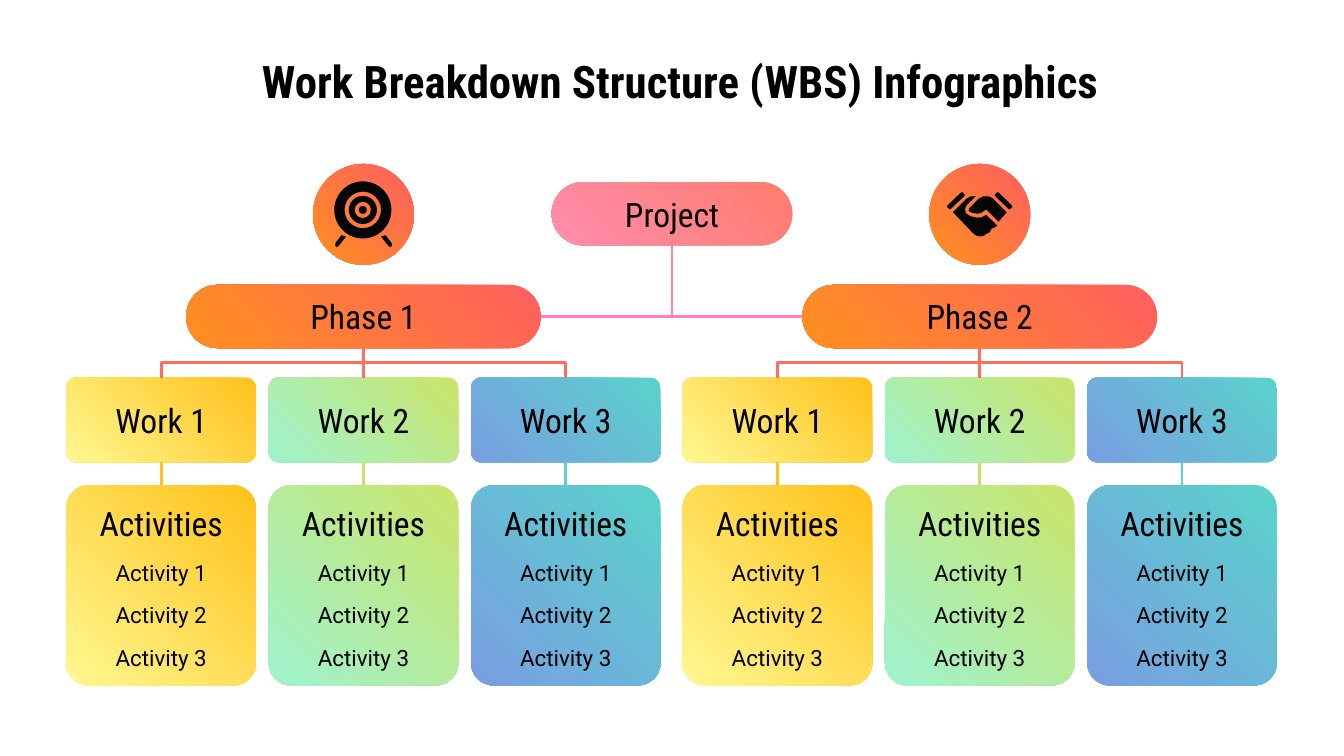
from pptx import Presentation
from pptx.dml.color import RGBColor
from pptx.enum.shapes import MSO_CONNECTOR, MSO_SHAPE
from pptx.enum.text import MSO_ANCHOR, MSO_AUTO_SIZE, PP_ALIGN
from pptx.oxml.ns import qn
from pptx.oxml.xmlchemy import OxmlElement
from pptx.util import Inches, Pt

ROUNDED, ELLIPSE, DONUT = MSO_SHAPE.ROUNDED_RECTANGLE, MSO_SHAPE.OVAL, MSO_SHAPE.DONUT
STRAIGHT, ELBOW = MSO_CONNECTOR.STRAIGHT, MSO_CONNECTOR.ELBOW
TOP, MIDDLE, CENTER = MSO_ANCHOR.TOP, MSO_ANCHOR.MIDDLE, PP_ALIGN.CENTER
NO_AUTOFIT = MSO_AUTO_SIZE.NONE

# All lengths are grid cells: the slide is 100 columns wide, and cells are square.
COLUMNS, ROWS = 100, 56.25
CELL = Inches(10) / COLUMNS

PHASE_CENTERS = (27.05, 72.9)
PHASE_TOP, PHASE_WIDTH, BAR_HEIGHT = 21.2, 26.4, 4.7
BADGE_TOP, BADGE_SIZE = 12.2, 7.5
PROJECT_CENTER, PROJECT_TOP, PROJECT_WIDTH = 50, 13.55, 17.9
WORK_TOP, WORK_HEIGHT, WORK_WIDTH, WORK_PITCH = 28.1, 6.3, 14.1, 15.05
CARD_TOP, CARD_HEIGHT = 36.1, 14.9
HEADING_TOP, HEADING_HEIGHT = 36.8, 4.2
ACTIVITY_TOP, ACTIVITY_HEIGHT, ACTIVITY_PITCH = 41, 3.2, 3.15

PHASE_GRADIENT = ("FF5F5F", "FF9020")
PROJECT_GRADIENT = ("FF7C6D", "FF8DAD")
PROJECT_LINE, PHASE_LINE = "FF80B9", "FF6D5D"
# Each kind of work: gradient, and colour of the line to its activities
WORKS = (
    (("FFC119", "FFF892"), "FFC119"),
    (("CBE469", "9FF3CF"), "C2E469"),
    (("5AD3CB", "799EE2"), "5AD3CB"),
)

# Icon outlines, as offsets from the centre line and the top of the badge
TARGET_LEG = [(-1.65, 5.3), (-2.1, 5.9), (-2.1, 6.1), (-2, 6.2), (-1.85, 6.1),
              (-1.3, 5.4)]
GRIP = [(-1.3, 2.1), (-1.42, 2.15), (-2.4, 3.1), (-2.43, 3.22), (-2.2, 3.4),
        (-1.2, 2.45), (-1.1, 2.3)]
LOWER_HAND = [(-0.4, 2.4), (-0.7, 2.43), (-1, 2.6), (-2, 3.6), (-0.5, 5.15),
              (-0.3, 5.32), (0, 5.4), (0.3, 5.35), (0.5, 5.2), (0.75, 5.1),
              (0.9, 4.8), (1.1, 4.75), (1.3, 4.6), (0.5, 3.8), (0.15, 3.97),
              (-0.2, 4), (-0.65, 3.9), (-1, 3.7), (-1.1, 3.4), (-1, 3.1),
              (-0.3, 2.4)]
UPPER_HAND = [(0.5, 2.4), (0.2, 2.43), (-0.1, 2.6), (-0.8, 3.3), (-0.83, 3.5),
              (-0.55, 3.65), (-0.2, 3.7), (0.1, 3.65), (0.3, 3.5), (0.5, 3.4),
              (1.4, 4.3), (2, 3.6), (1, 2.6), (0.75, 2.43)]


def rgb(hex_colour):
    return RGBColor.from_string(hex_colour)


def cells(*lengths):
    return [round(length * CELL) for length in lengths]


def mirrored(outline):
    return [(-x, y) for x, y in outline]


class WbsSlide:
    heading_font, body_font = "Roboto Condensed", "Roboto"
    ink, icon_ink = "000000", "040606"
    inset, line_width = Inches(0.1), Pt(1.5)

    def __init__(self, slide):
        self.slide = slide
        self.shapes = slide.shapes

    def set_text(self, frame, text, size, font, bold=False, anchor=MIDDLE):
        frame.word_wrap = True
        frame.auto_size = NO_AUTOFIT
        frame.vertical_anchor = anchor
        frame.margin_left = frame.margin_right = self.inset
        frame.margin_top = frame.margin_bottom = self.inset
        paragraph = frame.paragraphs[0]
        paragraph.alignment = CENTER
        run = paragraph.add_run()
        run.text = text
        run.font.size, run.font.name, run.font.bold = Pt(size), font, bold
        run.font.color.rgb = rgb(self.ink)

    def title(self, text, left, top, width, height):
        title = self.shapes.title
        title.left, title.top, title.width, title.height = cells(left, top, width, height)
        self.set_text(title.text_frame, text, 24, self.heading_font, True, TOP)

    def label(self, text, center, top, width, height, size, font):
        box = self.shapes.add_textbox(*cells(center - width / 2, top, width, height))
        self.set_text(box.text_frame, text, size, font)

    def preset(self, kind, center, top, width, height, adjustment=None):
        shape = self.shapes.add_shape(kind, *cells(center - width / 2, top, width, height))
        shape.shadow.inherit = False
        shape.line.fill.background()
        if adjustment is not None:
            shape.adjustments[0] = adjustment
        return shape

    def block(self, kind, center, top, width, height, gradient, adjustment=None, text=None):
        """A gradient shape whose first colour is at the top right."""
        shape = self.preset(kind, center, top, width, height, adjustment)
        shape.fill.gradient()
        shape.fill.gradient_angle = 225
        for stop, colour in zip(shape.fill.gradient_stops, gradient):
            stop.color.rgb = rgb(colour)
        if text:
            self.set_text(shape.text_frame, text, 18, self.heading_font)

    def finish_line(self, connector, colour):
        connector.line.color.rgb = rgb(colour)
        connector.line.width = self.line_width
        connector._element.spPr.append(OxmlElement("a:effectLst"))

    def drop(self, x, top, bottom, colour):
        self.finish_line(self.shapes.add_connector(STRAIGHT, *cells(x, top, x, bottom)), colour)

    def elbow(self, x, top, end_x, bottom, colour, preset="bentConnector3"):
        """A bent line that leaves downwards, made by turning a sideways one."""
        run, fall = abs(end_x - x), bottom - top
        left = (x + end_x - fall) / 2
        upper = (top + bottom - run) / 2
        connector = self.shapes.add_connector(
            ELBOW, *cells(left, upper, left + fall, upper + run))
        properties = connector._element.spPr
        properties.find(qn("a:prstGeom")).set("prst", preset)
        transform = properties.find(qn("a:xfrm"))
        transform.set("rot", str((90 if end_x < x else 270) * 60000))
        if end_x > x:
            transform.set("flipH", "1")
        self.finish_line(connector, colour)

    def ink_fill(self, shape):
        shape.fill.solid()
        shape.fill.fore_color.rgb = rgb(self.icon_ink)

    def outline(self, center, offsets):
        points = [cells(center + x, BADGE_TOP + y) for x, y in offsets]
        builder = self.shapes.build_freeform(*points[0])
        builder.add_line_segments(points[1:])
        shape = builder.convert_to_shape()
        shape.shadow.inherit = False
        shape.line.fill.background()
        self.ink_fill(shape)

    def target_icon(self, center):
        for leg in (TARGET_LEG, mirrored(TARGET_LEG)):
            self.outline(center, leg)
        middle = BADGE_TOP + 3.42
        for kind, size, band in ((DONUT, 4.25, 0.18), (DONUT, 2.1, 0.21), (ELLIPSE, 0.6, None)):
            self.ink_fill(self.preset(kind, center - 0.05, middle - size / 2, size, size, band))

    def handshake_icon(self, center):
        for part in (GRIP, LOWER_HAND, mirrored(GRIP), UPPER_HAND):
            self.outline(center, part)

    def work(self, number, center, gradient, line_colour):
        self.block(ROUNDED, center, WORK_TOP, WORK_WIDTH, WORK_HEIGHT, gradient, 0.12,
                   f"Work {number}")
        self.block(ROUNDED, center, CARD_TOP, WORK_WIDTH, CARD_HEIGHT, gradient, 0.12)
        self.label("Activities", center, HEADING_TOP, WORK_WIDTH, HEADING_HEIGHT,
                   18, self.heading_font)
        for row in range(3):
            self.label(f"Activity {row + 1}", center, ACTIVITY_TOP + row * ACTIVITY_PITCH,
                       WORK_WIDTH, ACTIVITY_HEIGHT, 12, self.body_font)
        self.drop(center, WORK_TOP + WORK_HEIGHT, CARD_TOP, line_colour)

    def phase(self, number, center, icon):
        for index, (gradient, line_colour) in enumerate(WORKS):
            self.work(index + 1, center + (index - 1) * WORK_PITCH, gradient, line_colour)
        self.block(ROUNDED, center, PHASE_TOP, PHASE_WIDTH, BAR_HEIGHT, PHASE_GRADIENT, 0.5,
                   f"Phase {number}")
        self.block(ELLIPSE, center, BADGE_TOP, BADGE_SIZE, BADGE_SIZE, PHASE_GRADIENT)
        icon(center)
        phase_bottom = PHASE_TOP + BAR_HEIGHT
        for side in (-1, 1):
            self.elbow(center, phase_bottom, center + side * WORK_PITCH, WORK_TOP, PHASE_LINE)
        self.drop(center, phase_bottom, WORK_TOP, PHASE_LINE)

    def project(self):
        for center, side in zip(PHASE_CENTERS, (1, -1)):
            self.elbow(PROJECT_CENTER, PROJECT_TOP + BAR_HEIGHT, center + side * PHASE_WIDTH / 2,
                       PHASE_TOP + BAR_HEIGHT / 2, PROJECT_LINE, "bentConnector2")
        self.block(ROUNDED, PROJECT_CENTER, PROJECT_TOP, PROJECT_WIDTH, BAR_HEIGHT,
                   PROJECT_GRADIENT, 0.5, "Project")


def main():
    deck = Presentation()
    deck.slide_width, deck.slide_height = cells(COLUMNS, ROWS)
    wbs = WbsSlide(deck.slides.add_slide(deck.slide_layouts.get_by_name("Title Only")))
    wbs.title("Work Breakdown Structure (WBS) Infographics", 4, 3, 93.2, 6.3)
    icons = (wbs.target_icon, wbs.handshake_icon)
    for number, (center, icon) in enumerate(zip(PHASE_CENTERS, icons), 1):
        wbs.phase(number, center, icon)
    wbs.project()
    deck.save("out.pptx")


if __name__ == "__main__":
    main()
